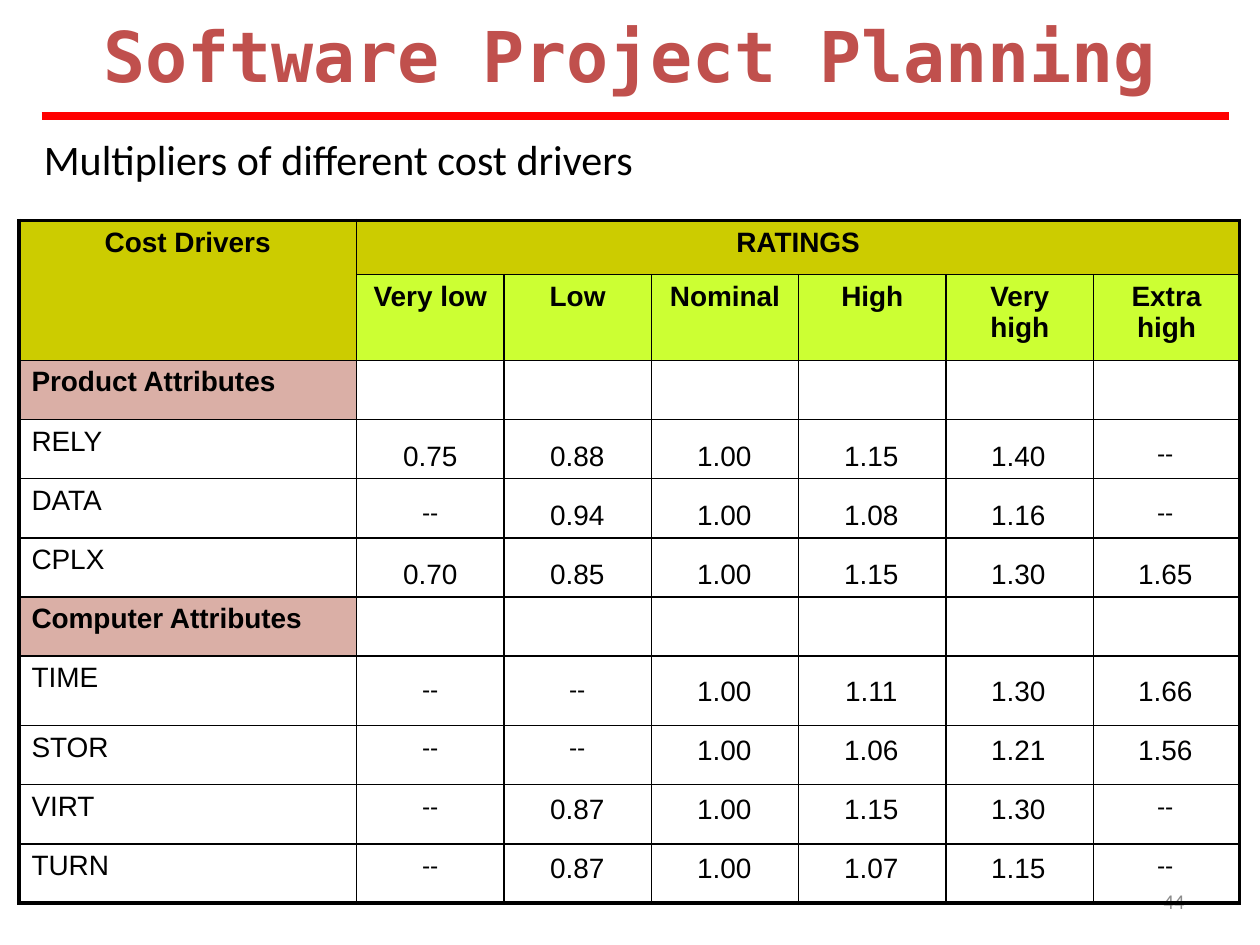
from lxml import etree
from pptx import Presentation
from pptx.dml.color import RGBColor
from pptx.enum.shapes import MSO_CONNECTOR
from pptx.enum.text import MSO_ANCHOR, PP_ALIGN
from pptx.oxml.ns import qn
from pptx.util import Inches, Pt

LEFT, MID, RIGHT, JUST = (PP_ALIGN.LEFT, PP_ALIGN.CENTER, PP_ALIGN.RIGHT,
                          PP_ALIGN.JUSTIFY)
TOP, CENTRE = MSO_ANCHOR.TOP, MSO_ANCHOR.MIDDLE
HEX = {"title": "C0504D", "rule": "FF0000", "ink": "000000", "page": "8C8C8C",
       "head": "CCCC00", "rate": "CCFF33", "group": "DAAFA6"}

# Content: a driver with no values heads a group
TITLE = "Software Project Planning"
LEAD = "Multipliers of different cost drivers"
RATES = ["Very low", "Low", "Nominal", "High", "Very high", "Extra high"]
ROWS = [
    ("Product Attributes", []),
    ("RELY", ["0.75", "0.88", "1.00", "1.15", "1.40", "--"]),
    ("DATA", ["--", "0.94", "1.00", "1.08", "1.16", "--"]),
    ("CPLX", ["0.70", "0.85", "1.00", "1.15", "1.30", "1.65"]),
    ("Computer Attributes", []),
    ("TIME", ["--", "--", "1.00", "1.11", "1.30", "1.66"]),
    ("STOR", ["--", "--", "1.00", "1.06", "1.21", "1.56"]),
    ("VIRT", ["--", "0.87", "1.00", "1.15", "1.30", "--"]),
    ("TURN", ["--", "0.87", "1.00", "1.07", "1.15", "--"]),
]

# Grid, in inches
WIDE = [2.68] + [1.17] * 5 + [1.16]
HIGH = [0.43, 0.68] + [0.55 if name == "TIME" else 0.47 for name, _ in ROWS]
FIRST_X, FIRST_Y = 3.0, 3.48
STEP_X, STEP_Y = 7 / 6, 7 / 15


def color(key):
    return RGBColor.from_string(HEX[key])


def write(frame, text, size, face="Arial", ink="ink", bold=False, align=MID):
    para = frame.paragraphs[0]
    para.text, para.alignment = text, align
    font = para.font
    font.size, font.name, font.bold = Pt(size), face, bold
    font.color.rgb = color(ink)


def add_text(box, text, size, inset=None, anchor=TOP, **look):
    frame = slide.shapes.add_textbox(*map(Inches, box)).text_frame
    frame.word_wrap, frame.vertical_anchor = True, anchor
    if inset is not None:
        frame.margin_left = frame.margin_right = inset
        frame.margin_top = frame.margin_bottom = inset
    write(frame, text, size, **look)


def set_edges(cell, row, col):
    last_row = row + cell.span_height - 1 if cell.is_merge_origin else row
    last_col = col + cell.span_width - 1 if cell.is_merge_origin else col
    outer = {"L": col == 0, "R": last_col == len(WIDE) - 1,
             "T": row == 0, "B": last_row == len(HIGH) - 1}
    props = cell._tc.get_or_add_tcPr()
    for spot, (side, thick) in enumerate(outer.items()):
        line = etree.Element(qn("a:ln" + side), w=str(Pt(2.25 if thick else 1)))
        fill = etree.SubElement(line, qn("a:solidFill"))
        etree.SubElement(fill, qn("a:srgbClr"), val=HEX["ink"])
        props.insert(spot, line)


def set_cell(row, col, text="", fill=None, **look):
    cell = table.cell(row, col)
    if fill:
        cell.fill.solid()
        cell.fill.fore_color.rgb = color(fill)
    if text:
        write(cell.text_frame, text, 16, **look)


deck = Presentation()
deck.slide_width, deck.slide_height = Inches(10), Inches(7.5)
slide = deck.slides.add_slide(deck.slide_layouts[5])

# Page number, title and rule
add_text((7.17, 6.95, 2.33, 0.4), "44", 12, anchor=CENTRE, face="Calibri",
         ink="page", align=RIGHT)
title = slide.shapes.title
title.left, title.top, title.width, title.height = map(
    Inches, (0.33, 0.05, 9.33, 0.77))
title.text_frame.vertical_anchor = CENTRE
write(title.text_frame, TITLE, 40, face="DejaVu Sans Mono", ink="title", bold=True)
rule = slide.shapes.add_connector(MSO_CONNECTOR.STRAIGHT, Inches(0.33),
                                  Inches(0.92), Inches(9.75), Inches(0.92))
rule.line.color.rgb, rule.line.width = color("rule"), Pt(4.5)
etree.SubElement(rule._element.spPr, qn("a:effectLst"))

# Table frame and headings
table = slide.shapes.add_table(
    len(HIGH), len(WIDE), Inches(0.15), Inches(1.75),
    Inches(sum(WIDE)), Inches(sum(HIGH))).table
table.first_row = table.horz_banding = False
for part, size in zip(table.columns, WIDE):
    part.width = Inches(size)
for part, size in zip(table.rows, HIGH):
    part.height = Inches(size)
table.cell(0, 0).merge(table.cell(1, 0))
table.cell(0, 1).merge(table.cell(0, len(RATES)))
for row in range(len(HIGH)):
    for col in range(len(WIDE)):
        table.cell(row, col).fill.background()
        set_edges(table.cell(row, col), row, col)
set_cell(0, 0, "Cost Drivers", "head", bold=True)
set_cell(0, 1, "RATINGS", "head", bold=True)
for col, rate in enumerate(RATES, 1):
    set_cell(1, col, rate, "rate", bold=True)
for row, (name, vals) in enumerate(ROWS, 2):
    set_cell(row, 0, name, None if vals else "group", bold=not vals, align=LEFT)

add_text((0.25, 1.01, 9.33, 0.5), LEAD, 24, face="Calibri", align=JUST)

# Multipliers over the open cells
for row, (_, vals) in enumerate(ROWS, -1):
    for col, val in enumerate(vals):
        box = (FIRST_X + col * STEP_X, FIRST_Y + row * STEP_Y, 0.83, 0.15)
        add_text(box, val, 14 if val == "--" else 16, inset=0)

deck.save("out.pptx")
